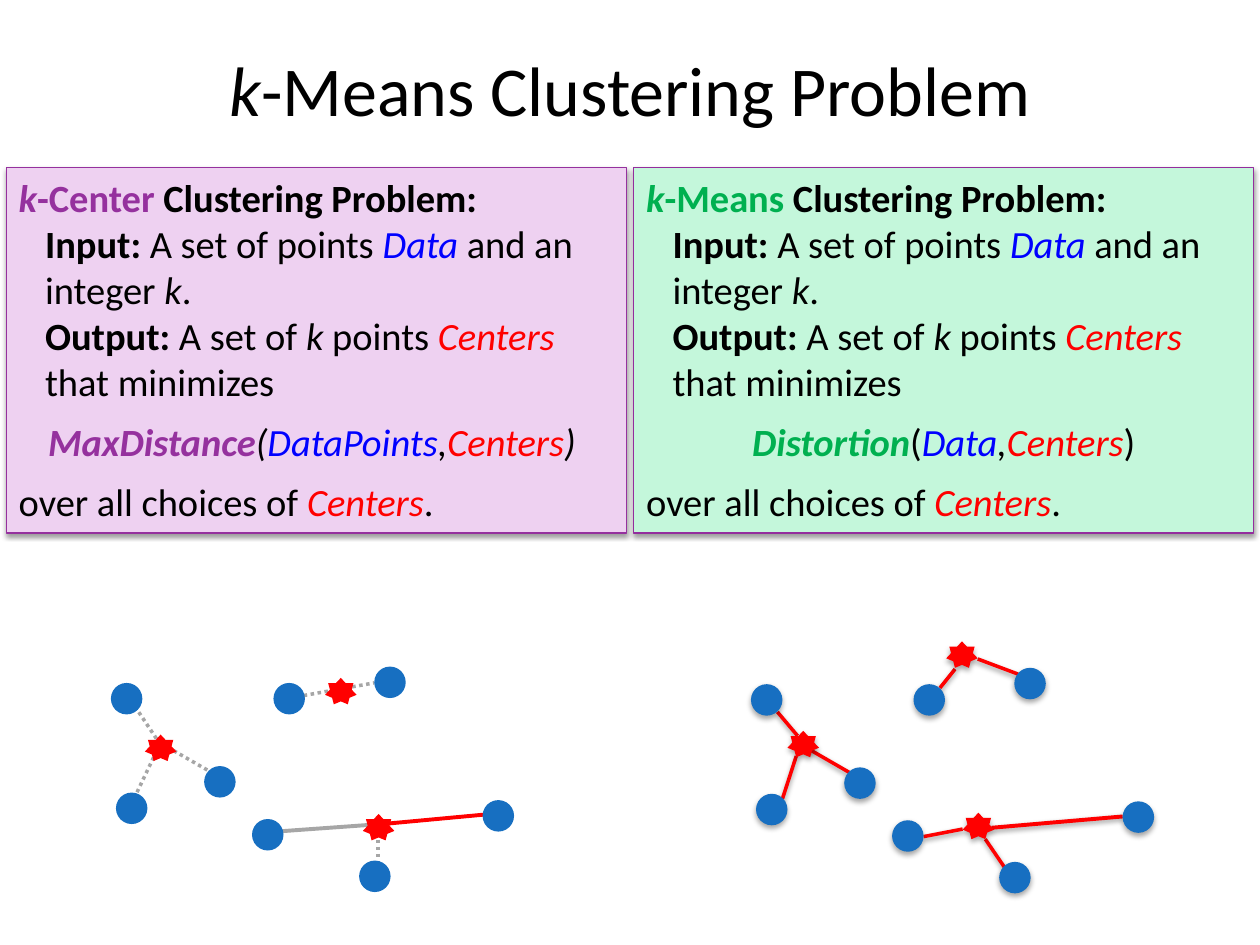
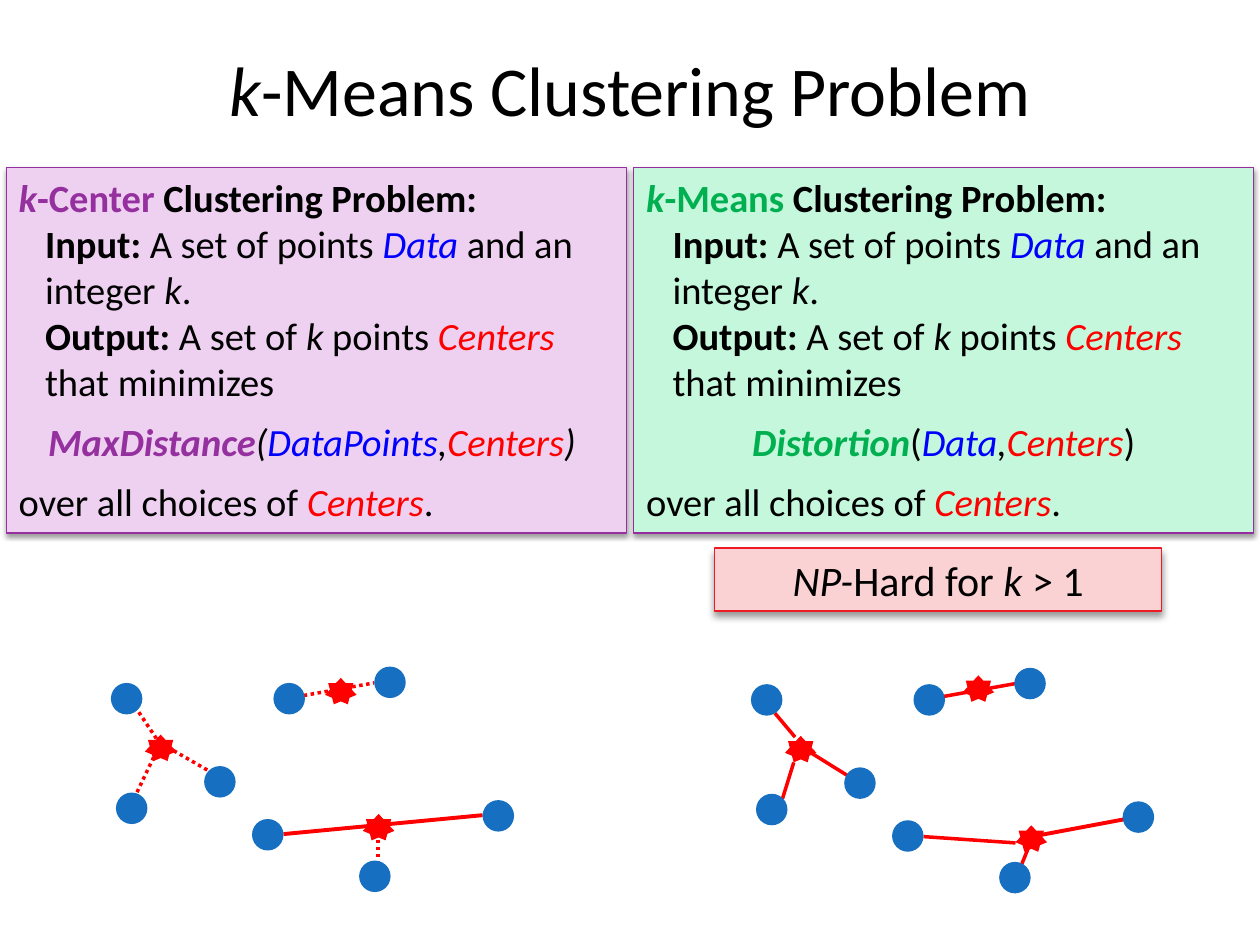
import dataclasses

import lxml.etree
import pptx
import pptx.dml.color
import pptx.enum.dml
import pptx.enum.shapes
import pptx.enum.text
import pptx.oxml.ns
import pptx.util

PX = 9144


@dataclasses.dataclass(frozen=True)
class Theme:
    font: str = "Calibri"
    title_size: int = 40
    body_size: int = 22
    note_size: int = 24
    border: float = 0.75
    thin: float = 2
    thick: float = 2.25
    ink: str = "000000"
    data: str = "0000FF"
    centers: str = "FF0000"
    point: str = "176FC1"
    muted: str = "A6A6A6"
    center_accent: str = "95319E"
    center_fill: str = "EED1F1"
    means_accent: str = "00B050"
    means_fill: str = "C4F7DB"
    means_border: str = "942D9D"
    note_fill: str = "FBD2D3"
    note_border: str = "ED1C24"


@dataclasses.dataclass(frozen=True)
class Shadow:
    alpha: int
    blur: float
    distance: float


THEME = Theme()
CARD_SHADOW = Shadow(38, 3.1, 1.6)
POINT_SHADOW = Shadow(35, 3.1, 1.8)
NOTE_SHADOW = Shadow(40, 4, 3)
SHAPES = pptx.enum.shapes.MSO_SHAPE
ALIGN = pptx.enum.text.PP_ALIGN
ANCHOR = pptx.enum.text.MSO_ANCHOR

POINTS = [(0, 13), (4, 100), (74, 79), (209, 0), (129, 13),
          (112, 121), (197, 154), (295, 106)]
POINT_SIZE = (25, 25)
STAR_SIZE = (25, 21)

CENTER_STARS = [(170, 9), (200, 117), (27, 54)]
CENTER_DOTTED = [(142, 25, 209, 13), (45, 64, 78, 83), (34, 72, 14, 114),
                 (212, 132, 212, 175), (16, 27, 40, 63)]
CENTER_NEAR = [(131, 131, 215, 125)]
CENTER_FAR = [(216, 125, 302, 117)]
CENTER_FULL = [(137, 133, 295, 118)]

MEANS_STARS = [(155, -21), (168, 115), (29, 50)]
MEANS_LINKS = [(21, 35, 37, 54), (45, 64, 78, 83), (36, 70, 25, 104),
               (137, 134, 168, 128), (186, 136, 201, 158),
               (150, 16, 162, 1), (180, -7, 212, 5)]
MEANS_LONG = [(191, 127, 295, 118)]

MOVED_STARS = [(27, 54), (210, 125), (168, 6)]
MOVED_LINKS = [(19, 36, 35, 55), (42, 64, 87, 92), (34, 75, 25, 104),
               (137, 134, 210, 139), (221, 141, 212, 163),
               (146, 24, 213, 12)]
MOVED_LONG = [(223, 134, 303, 119)]


def px(*lengths):
    return [pptx.util.Emu(length * PX) for length in lengths]


def rgb(color):
    return pptx.dml.color.RGBColor.from_string(color)


def set_shadow(drawn, shadow):
    properties = drawn._element.spPr
    for old in properties.findall(pptx.oxml.ns.qn("a:effectLst")):
        properties.remove(old)
    effects = lxml.etree.SubElement(properties, pptx.oxml.ns.qn("a:effectLst"))
    if shadow is None:
        return
    outer = lxml.etree.SubElement(
        effects, pptx.oxml.ns.qn("a:outerShdw"),
        blurRad=str(int(shadow.blur * 12700)),
        dist=str(int(shadow.distance * 12700)),
        dir="5400000", rotWithShape="0")
    color = lxml.etree.SubElement(outer, pptx.oxml.ns.qn("a:srgbClr"), val=THEME.ink)
    lxml.etree.SubElement(color, pptx.oxml.ns.qn("a:alpha"), val=str(shadow.alpha * 1000))


def add_block(slide, kind, box, fill, border=None, shadow=None):
    block = slide.shapes.add_shape(kind, *px(*box))
    block.shadow.inherit = False
    block.fill.solid()
    block.fill.fore_color.rgb = rgb(fill)
    if border:
        block.line.color.rgb = rgb(border)
        block.line.width = pptx.util.Pt(THEME.border)
    else:
        block.line.fill.background()
    set_shadow(block, shadow)
    return block


def write_line(paragraph, runs, size, align=ALIGN.LEFT, spacing=None, indent=0):
    paragraph.alignment = align
    if spacing:
        paragraph.line_spacing = spacing
    if indent:
        properties = paragraph._p.get_or_add_pPr()
        properties.set("marL", str(indent * PX))
        properties.set("indent", "0")
    paragraph.font.name = THEME.font
    paragraph.font.size = pptx.util.Pt(size)
    for text, color, style in runs:
        if text == "\n":
            paragraph.add_line_break()
            continue
        run = paragraph.add_run()
        run.text = text
        run.font.size = pptx.util.Pt(size)
        run.font.color.rgb = rgb(color)
        run.font.bold = "b" in style
        run.font.italic = "i" in style


def draw_title(slide, box):
    title = slide.shapes.add_textbox(*px(*box)).text_frame
    title.word_wrap = True
    title.vertical_anchor = ANCHOR.MIDDLE
    write_line(title.paragraphs[0],
               [("k", THEME.ink, "i"), ("-Means Clustering Problem", THEME.ink, "")],
               THEME.title_size, ALIGN.CENTER)


def draw_problem(slide, box, name, accent, fill, border, objective):
    card = add_block(slide, SHAPES.RECTANGLE, box, fill, border, CARD_SHADOW)
    frame = card.text_frame
    frame.word_wrap = True
    frame.vertical_anchor = ANCHOR.TOP
    ink, data, centers = THEME.ink, THEME.data, THEME.centers
    line_break = ("\n", ink, "")
    lines = [
        ([("k", accent, "bi"), (f"-{name} ", accent, "b"),
          ("Clustering Problem:", ink, "b")], {}),
        ([("Input:", ink, "b"), (" A set of points ", ink, ""), ("Data", data, "i"),
          (" and an", ink, ""), line_break, ("integer ", ink, ""),
          ("k", ink, "i"), (".", ink, "")], {"indent": 21}),
        ([("Output:", ink, "b"), (" A set of ", ink, ""), ("k", ink, "i"),
          (" points ", ink, ""), ("Centers", centers, "i"), line_break,
          ("that minimizes", ink, "")], {"indent": 21}),
        (objective, {"align": ALIGN.CENTER, "spacing": 1.3}),
        ([("over all choices of ", ink, ""), ("Centers", centers, "i"),
          (".", ink, "")], {"spacing": 1.3}),
    ]
    for index, (runs, layout) in enumerate(lines):
        paragraph = frame.add_paragraph() if index else frame.paragraphs[0]
        write_line(paragraph, runs, THEME.body_size, **layout)


def draw_problems(slide):
    ink, data, centers = THEME.ink, THEME.data, THEME.centers
    draw_problem(slide, (5, 133, 492, 290), "Center", THEME.center_accent,
                 THEME.center_fill, THEME.center_accent,
                 [("MaxDistance", THEME.center_accent, "bi"), ("(", ink, "i"),
                  ("DataPoints", data, "i"), (",", ink, "i"),
                  ("Centers", centers, "i"), (") ", ink, "i")])
    draw_problem(slide, (503, 133, 492, 290), "Means", THEME.means_accent,
                 THEME.means_fill, THEME.means_border,
                 [("Distortion", THEME.means_accent, "bi"), ("(", ink, ""),
                  ("Data", data, "i"), (",", ink, "i"),
                  ("Centers", centers, "i"), (")", ink, "")])


def draw_note(slide, box):
    note = add_block(slide, SHAPES.RECTANGLE, box, THEME.note_fill,
                     THEME.note_border, NOTE_SHADOW)
    note.text_frame.word_wrap = True
    note.text_frame.vertical_anchor = ANCHOR.TOP
    ink = THEME.ink
    write_line(note.text_frame.paragraphs[0],
               [("NP-", ink, "i"), ("Hard for ", ink, ""),
                ("k ", ink, "i"), ("> 1", ink, "")],
               THEME.note_size, ALIGN.CENTER)


def draw_clusters(slide, left, top, stars, link_sets, raised=False):
    for links, color, width, dotted in link_sets:
        for x1, y1, x2, y2 in links:
            link = slide.shapes.add_connector(
                pptx.enum.shapes.MSO_CONNECTOR.STRAIGHT,
                *px(left + x1, top + y1, left + x2, top + y2))
            link.line.color.rgb = rgb(color)
            link.line.width = pptx.util.Pt(width)
            if dotted:
                link.line.dash_style = pptx.enum.dml.MSO_LINE.ROUND_DOT
            set_shadow(link, CARD_SHADOW if raised else None)
    marks = [(SHAPES.OVAL, POINTS, POINT_SIZE, THEME.point),
             (SHAPES.STAR_7_POINT, stars, STAR_SIZE, THEME.centers)]
    for kind, places, size, color in marks:
        for x, y in places:
            add_block(slide, kind, (left + x, top + y, *size), color,
                      shadow=POINT_SHADOW if raised else None)


def draw_slide(deck, center_links, means_stars, means_links, raised, hard):
    slide = deck.slides.add_slide(deck.slide_layouts[6])
    draw_clusters(slide, 88, 529, CENTER_STARS, center_links)
    draw_clusters(slide, 596, 530, means_stars, means_links, raised)
    if hard:
        draw_note(slide, (567, 435, 355, 50))
    draw_title(slide, (50, 8, 900, 125))
    draw_problems(slide)


def main():
    deck = pptx.Presentation()
    deck.slide_width, deck.slide_height = px(1000, 750)
    red, gray, thin, thick = THEME.centers, THEME.muted, THEME.thin, THEME.thick
    draw_slide(deck,
               [(CENTER_NEAR, gray, thick, False), (CENTER_FAR, red, thick, False),
                (CENTER_DOTTED, gray, thin, True)],
               MEANS_STARS,
               [(MEANS_LINKS, red, thin, False), (MEANS_LONG, red, thick, False)],
               raised=True, hard=False)
    draw_slide(deck,
               [(CENTER_FULL, red, thick, False), (CENTER_DOTTED, red, thin, True)],
               MOVED_STARS,
               [(MOVED_LINKS, red, thin, False), (MOVED_LONG, red, thick, False)],
               raised=False, hard=True)
    deck.save("out.pptx")


if __name__ == "__main__":
    main()
